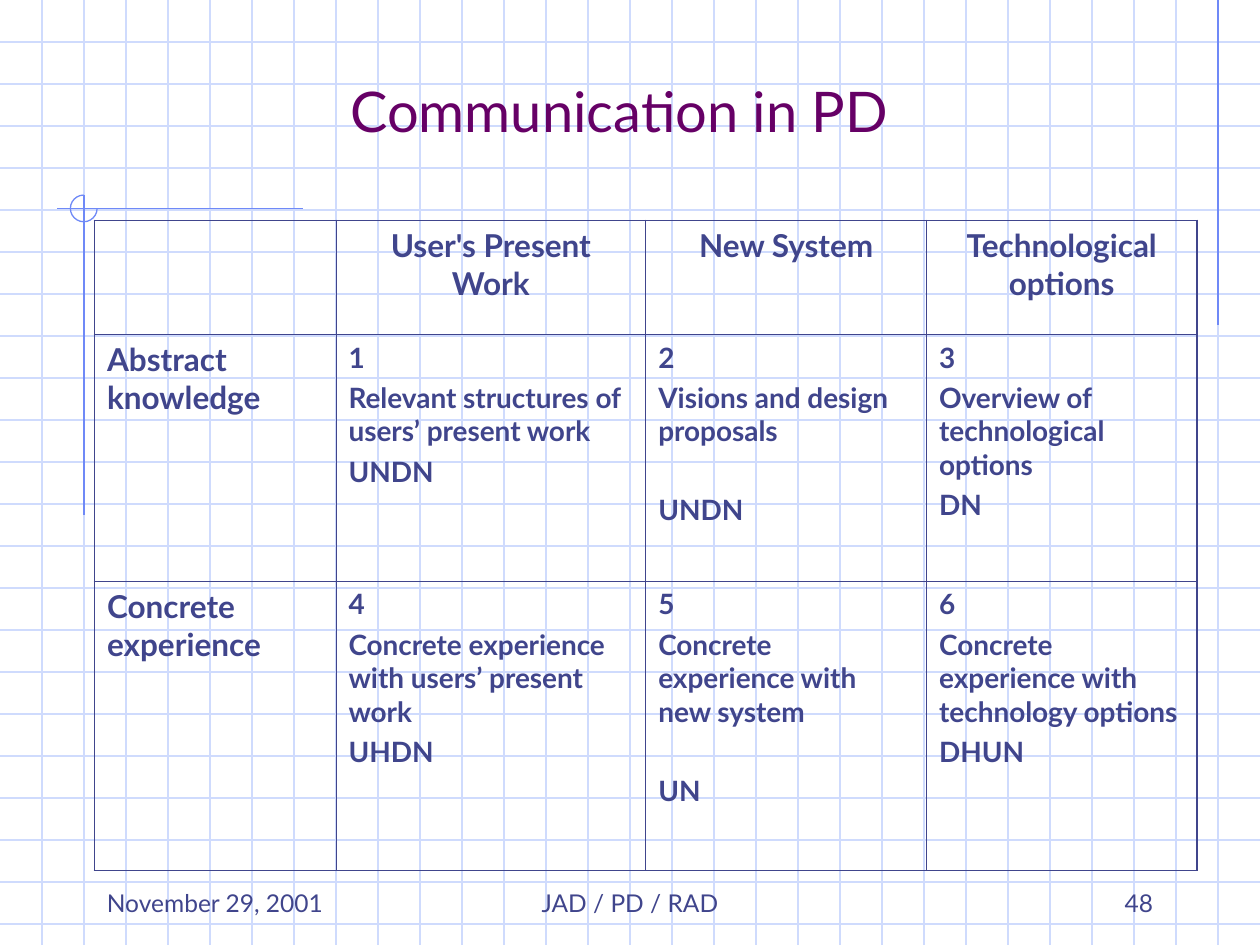
from dataclasses import dataclass

from lxml.etree import SubElement
from pptx import Presentation
from pptx.dml.color import RGBColor
from pptx.enum.shapes import MSO_CONNECTOR, MSO_SHAPE
from pptx.enum.text import MSO_ANCHOR, PP_ALIGN
from pptx.oxml.ns import qn
from pptx.slide import Slide
from pptx.util import Pt

WIDTH, HEIGHT, GRID_STEP = 720, 540, 24
FONT = "Lato"
GRID_BLUE = RGBColor(0xCF, 0xDB, 0xFD)
ACCENT_BLUE = RGBColor(0x6F, 0x89, 0xF7)
INK = RGBColor(0x40, 0x45, 0x8C)
PURPLE = RGBColor(0x66, 0x00, 0x66)
OUTER_BORDER, INNER_BORDER = 1.08, 0.45
COLUMN_WIDTHS = (138, 177, 160.5, 154.5)
ROW_HEIGHTS = (65, 141, 165.5)


@dataclass(frozen=True)
class Rule:
    x1: float
    y1: float
    x2: float
    y2: float
    color: RGBColor


@dataclass(frozen=True)
class Entry:
    lines: tuple[str, ...]
    size: float = 16
    align: PP_ALIGN = PP_ALIGN.LEFT
    last_gap: float = 4


@dataclass(frozen=True)
class Footer:
    text: str
    left: float
    width: float
    align: PP_ALIGN


def heading(text: str) -> Entry:
    return Entry((text,), 18, PP_ALIGN.CENTER)


def row_label(text: str) -> Entry:
    return Entry((text,), 18)


ACCENTS = (
    Rule(696, 0, 696, 186, ACCENT_BLUE),
    Rule(173, 119.25, 32.5, 119.25, ACCENT_BLUE),
    Rule(48, 111.5, 48, 294.5, ACCENT_BLUE),
)
ENTRIES = (
    (
        Entry(("",), 18),
        heading("User's Present Work"),
        heading("New System"),
        heading("Technological options"),
    ),
    (
        row_label("Abstract knowledge"),
        Entry(("1", "Relevant structures of users’ present work", "UNDN")),
        Entry(("2", "Visions and design proposals", "UNDN"), last_gap=26),
        Entry(("3", "Overview of technological options", "DN")),
    ),
    (
        row_label("Concrete experience"),
        Entry(("4", "Concrete experience with users’ present work", "UHDN")),
        Entry(("5", "Concrete experience with new system", "UN"), last_gap=26),
        Entry(("6", "Concrete experience with technology options", "DHUN")),
    ),
)
FOOTERS = (
    Footer("JAD / PD / RAD", 246, 228, PP_ALIGN.CENTER),
    Footer("48", 516, 150, PP_ALIGN.RIGHT),
    Footer("November 29, 2001", 54, 150, PP_ALIGN.LEFT),
)


def format_paragraph(paragraph, size: float, color: RGBColor, align: PP_ALIGN, bold: bool = False) -> None:
    paragraph.alignment = align
    for run in paragraph.runs:
        run.font.name = FONT
        run.font.size = Pt(size)
        run.font.bold = bold
        run.font.color.rgb = color


def draw_rule(slide: Slide, rule: Rule) -> None:
    connector = slide.shapes.add_connector(
        MSO_CONNECTOR.STRAIGHT, Pt(rule.x1), Pt(rule.y1), Pt(rule.x2), Pt(rule.y2)
    )
    connector.line.color.rgb = rule.color
    connector.line.width = Pt(0.75)
    SubElement(connector._element.spPr, qn("a:effectLst"))


def draw_background(slide: Slide) -> None:
    for y in range(GRID_STEP, HEIGHT, GRID_STEP):
        draw_rule(slide, Rule(0, y, WIDTH, y, GRID_BLUE))
    for x in range(GRID_STEP, WIDTH, GRID_STEP):
        draw_rule(slide, Rule(x, 0, x, HEIGHT, GRID_BLUE))
    for accent in ACCENTS:
        draw_rule(slide, accent)
    arc = slide.shapes.add_shape(MSO_SHAPE.ARC, Pt(40.25), Pt(111.5), Pt(15.25), Pt(15.25))
    arc.adjustments[0] = 0
    arc.adjustments[1] = 162
    arc.shadow.inherit = False
    arc.fill.background()
    arc.line.color.rgb = ACCENT_BLUE
    arc.line.width = Pt(0.75)


def draw_title(slide: Slide, text: str) -> None:
    title = slide.shapes.title
    title.left, title.top, title.width, title.height = Pt(48), Pt(24), Pt(612), Pt(78)
    title.text_frame.text = text
    title.text_frame.vertical_anchor = MSO_ANCHOR.MIDDLE
    format_paragraph(title.text_frame.paragraphs[0], 32, PURPLE, PP_ALIGN.CENTER)
    slide.shapes._spTree.append(title._element)


def set_border(cell, side: str, width: float) -> None:
    border = SubElement(cell._tc.get_or_add_tcPr(), qn(f"a:ln{side}"), w=str(Pt(width)))
    fill = SubElement(border, qn("a:solidFill"))
    SubElement(fill, qn("a:srgbClr"), val=str(INK))


def fill_cell(cell, entry: Entry) -> None:
    cell.text_frame.text = "\n".join(entry.lines)
    cell.vertical_anchor = MSO_ANCHOR.TOP
    cell.margin_left = cell.margin_right = Pt(7.2)
    cell.margin_top = cell.margin_bottom = Pt(3.6)
    paragraphs = cell.text_frame.paragraphs
    for index, paragraph in enumerate(paragraphs):
        format_paragraph(paragraph, entry.size, INK, entry.align, bold=True)
        if index:
            is_last = index == len(paragraphs) - 1
            paragraph.space_before = Pt(entry.last_gap if is_last else 4)


def draw_table(slide: Slide) -> None:
    row_count, column_count = len(ROW_HEIGHTS), len(COLUMN_WIDTHS)
    table = slide.shapes.add_table(
        row_count, column_count, Pt(54), Pt(126), Pt(sum(COLUMN_WIDTHS)), Pt(sum(ROW_HEIGHTS))
    ).table
    table.first_row = table.horz_banding = False
    for column, width in zip(table.columns, COLUMN_WIDTHS):
        column.width = Pt(width)
    for row, height in zip(table.rows, ROW_HEIGHTS):
        row.height = Pt(height)
    for r, entries in enumerate(ENTRIES):
        for c, entry in enumerate(entries):
            cell = table.cell(r, c)
            fill_cell(cell, entry)
            outer_sides = {
                "L": c == 0,
                "R": c == column_count - 1,
                "T": r == 0,
                "B": r == row_count - 1,
            }
            for side, is_outer in outer_sides.items():
                set_border(cell, side, OUTER_BORDER if is_outer else INNER_BORDER)
            cell.fill.background()


def draw_footer(slide: Slide, footer: Footer) -> None:
    frame = slide.shapes.add_textbox(Pt(footer.left), Pt(498), Pt(footer.width), Pt(30)).text_frame
    frame.word_wrap = True
    frame.vertical_anchor = MSO_ANCHOR.BOTTOM
    frame.text = footer.text
    format_paragraph(frame.paragraphs[0], 14, INK, footer.align)


def main() -> None:
    presentation = Presentation()
    presentation.slide_width, presentation.slide_height = Pt(WIDTH), Pt(HEIGHT)
    slide = presentation.slides.add_slide(presentation.slide_layouts[5])
    draw_background(slide)
    draw_title(slide, "Communication in PD")
    draw_table(slide)
    for footer in FOOTERS:
        draw_footer(slide, footer)
    presentation.save("out.pptx")


if __name__ == "__main__":
    main()
